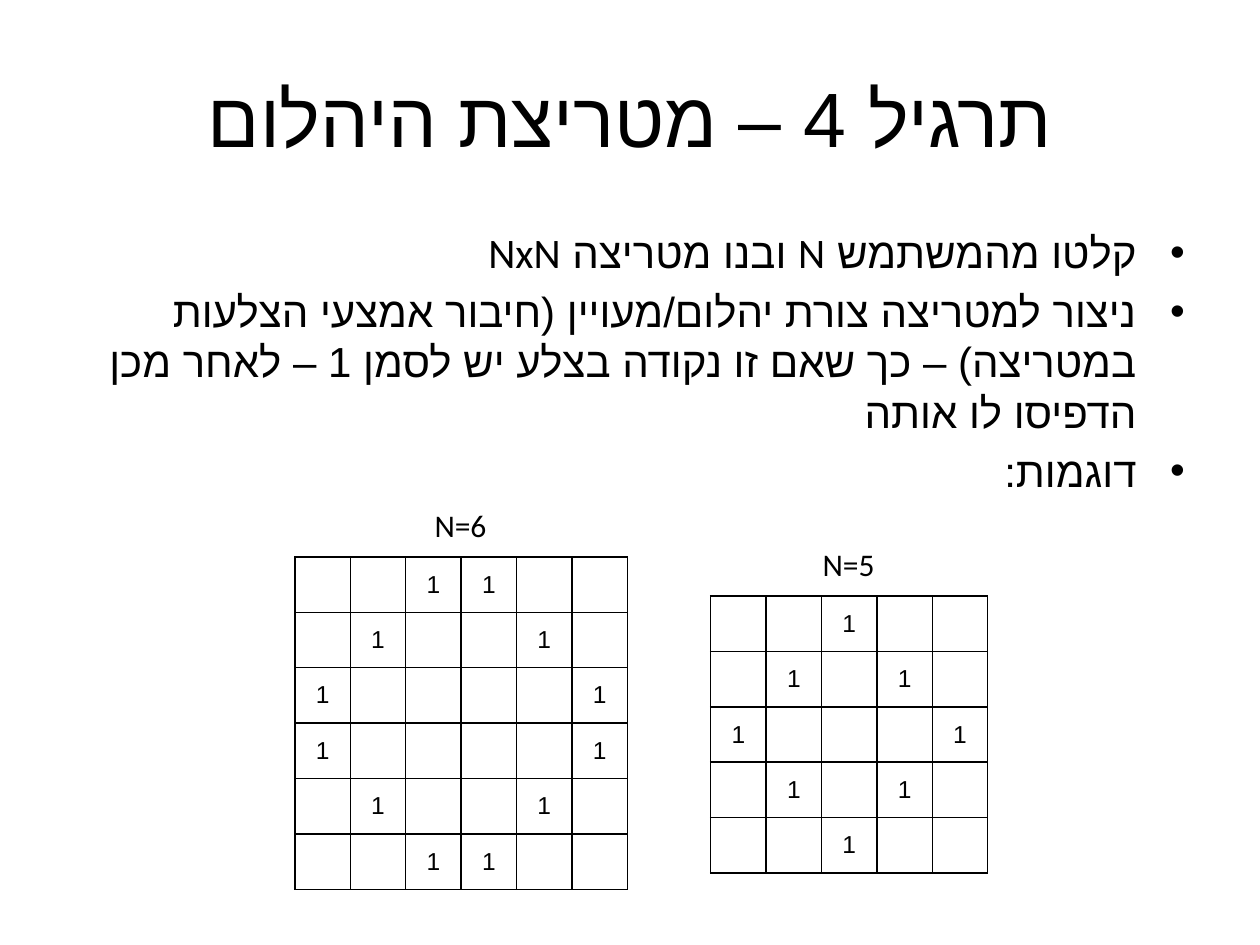
"""Build the diamond matrix exercise slide."""
import pptx
import pptx.dml.color
import pptx.enum.text
import pptx.oxml
import pptx.oxml.ns
import pptx.util

Inches = pptx.util.Inches
Pt = pptx.util.Pt
Align = pptx.enum.text.PP_ALIGN
Anchor = pptx.enum.text.MSO_ANCHOR
NS = pptx.oxml.ns.nsdecls("a")


def paint(code):
    return pptx.dml.color.RGBColor.from_string(code)


class Deck:
    ink = "000000"
    face = "Calibri"
    script = "Arial"
    side = 0.44

    def __init__(self, wide, high):
        self.prs = pptx.Presentation()
        self.prs.slide_width = Inches(wide)
        self.prs.slide_height = Inches(high)
        self.slide = self.prs.slides.add_slide(self.prs.slide_layouts[6])

    def text(self, para, words, size, align, rtl=True, face=None):
        run = para.add_run()
        run.text = words
        para.alignment = align
        look = {"size": Pt(size), "name": face or self.face}
        for key, value in look.items():
            setattr(run.font, key, value)
        run.font.color.rgb = paint(self.ink)
        if rtl:
            para._p.get_or_add_pPr().set("rtl", "1")
            props = run._r.get_or_add_rPr()
            props.append(pptx.oxml.parse_xml(f'<a:cs {NS} typeface="{self.script}"/>'))

    def box(self, left, top, wide, high, wrap=True, anchor=Anchor.TOP):
        shape = self.slide.shapes.add_textbox(*map(Inches, (left, top, wide, high)))
        frame = shape.text_frame
        look = {"word_wrap": wrap, "vertical_anchor": anchor}
        for key, value in look.items():
            setattr(frame, key, value)
        return frame

    def title(self, words):
        frame = self.box(0.5, 0.3, 9, 1.25, anchor=Anchor.MIDDLE)
        self.text(frame.paragraphs[0], words, 44, Align.CENTER)

    def label(self, left, top, words):
        frame = self.box(left, top, 0.62, 0.4, wrap=False)
        frame.auto_size = pptx.enum.text.MSO_AUTO_SIZE.SHAPE_TO_FIT_TEXT
        self.text(frame.paragraphs[0], words, 18, Align.LEFT, rtl=False)

    def points(self, items):
        frame = self.box(0.5, 1.75, 9, 4.95)
        for i, item in enumerate(items):
            para = frame.add_paragraph() if i else frame.paragraphs[0]
            if i:
                para.space_before = Pt(4.8)
            self.text(para, item, 24, Align.RIGHT)
            props = para._p.get_or_add_pPr()
            for key, gap in {"marL": 0.38, "indent": -0.38}.items():
                props.set(key, str(Inches(gap)))
            for tag in ('buFont {} typeface="Arial"', 'buChar {} char="•"'):
                props.append(pptx.oxml.parse_xml(f"<a:{tag.format(NS)}/>"))

    def edge(self, cell):
        props = cell._tc.get_or_add_tcPr()
        for name in ("lnL", "lnR", "lnT", "lnB"):
            props.append(pptx.oxml.parse_xml(
                f'<a:{name} {NS} w="{Pt(1)}"><a:solidFill>'
                f'<a:srgbClr val="{self.ink}"/></a:solidFill></a:{name}>'))

    def grid(self, left, top, size):
        span = Inches(self.side * size)
        table = self.slide.shapes.add_table(
            size, size, Inches(left), Inches(top), span, span).table
        table.first_row = table.horz_banding = False
        for col in table.columns:
            col.width = Inches(self.side)
        for row in table.rows:
            row.height = Inches(self.side)
        look = {"vertical_anchor": Anchor.MIDDLE,
                "margin_left": Inches(0.07), "margin_right": Inches(0.07),
                "margin_top": Inches(0.04), "margin_bottom": Inches(0.04)}
        last = size - 1
        for row in range(size):
            for col in range(size):
                cell = table.cell(row, col)
                for key, value in look.items():
                    setattr(cell, key, value)
                self.edge(cell)
                cell.fill.background()
                if min(row, last - row) + min(col, last - col) == last // 2:
                    para = cell.text_frame.paragraphs[0]
                    self.text(para, "1", 14, Align.CENTER, face="Arial")


def main():
    deck = Deck(10, 7.5)
    deck.title("תרגיל 4 – מטריצת היהלום")
    deck.points([
        "קלטו מהמשתמש N ובנו מטריצה NxN",
        "ניצור למטריצה צורת יהלום/מעויין (חיבור אמצעי הצלעות במטריצה) – "
        "כך שאם זו נקודה בצלע יש לסמן 1 – לאחר מכן הדפיסו לו אותה",
        "דוגמות:",
    ])
    for size, left, top in ((5, 5.64, 4.73), (6, 2.34, 4.42)):
        deck.grid(left, top, size)
        middle = left + deck.side * size / 2
        deck.label(round(middle - 0.31, 2), top - 0.45, f"N={size}")
    deck.prs.save("out.pptx")


if __name__ == "__main__":
    main()
